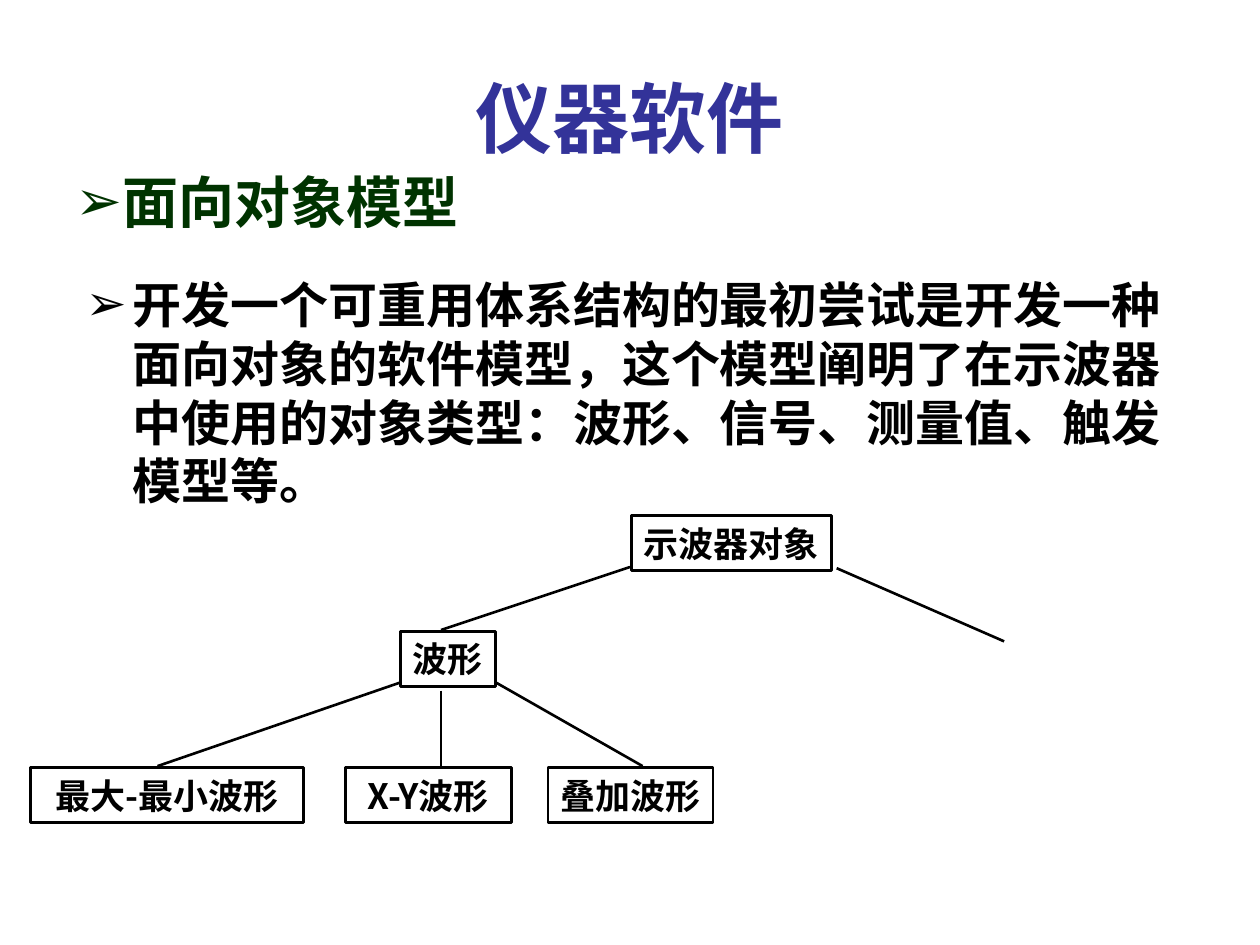
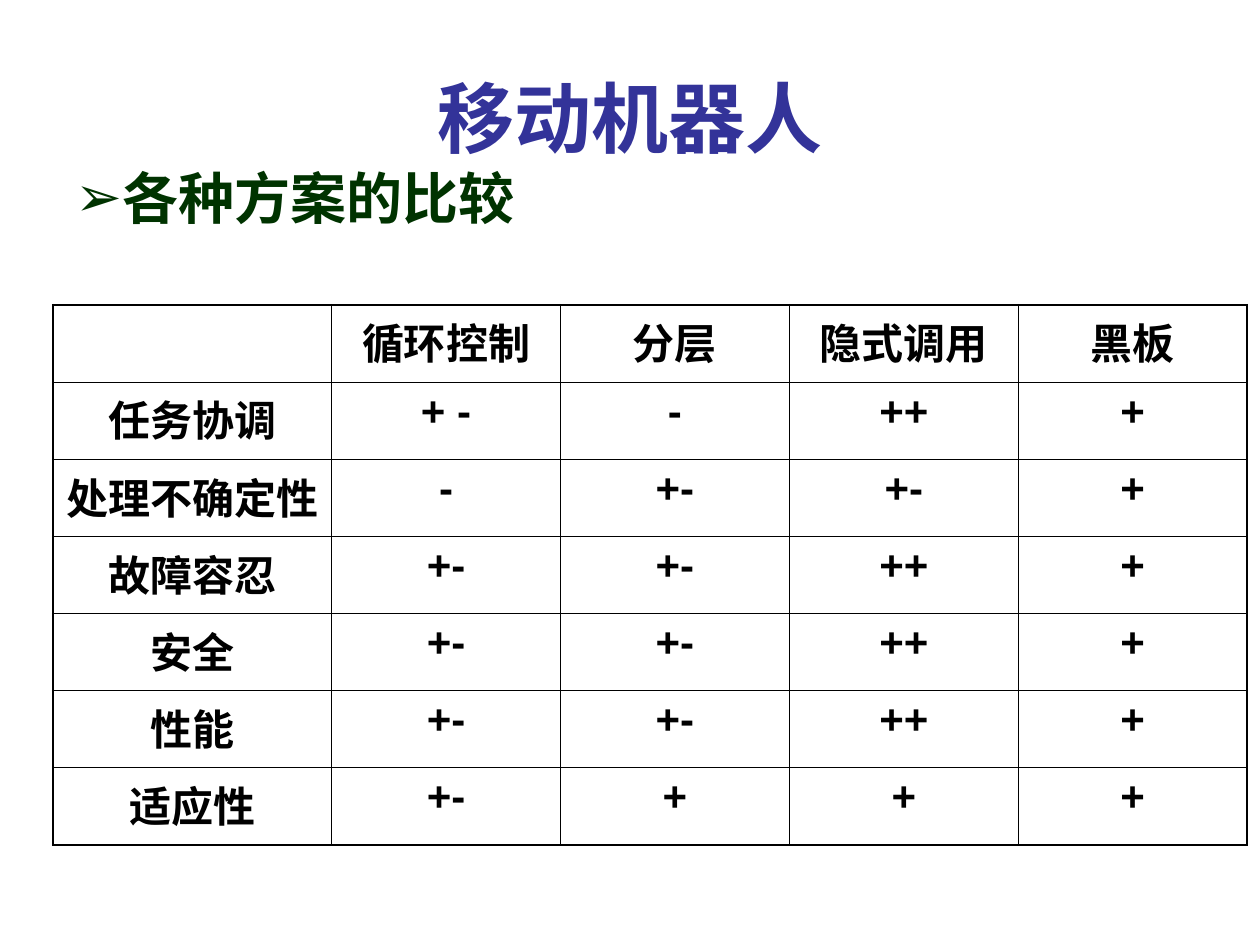
from lxml import etree
from pptx import Presentation
from pptx.dml.color import RGBColor
from pptx.enum.shapes import MSO_CONNECTOR, MSO_SHAPE
from pptx.enum.text import MSO_ANCHOR, PP_ALIGN
from pptx.oxml.ns import qn
from pptx.util import Pt

CENTER, LEFT = PP_ALIGN.CENTER, PP_ALIGN.LEFT
MIDDLE, TOP = MSO_ANCHOR.MIDDLE, MSO_ANCHOR.TOP
RECT, STRAIGHT = MSO_SHAPE.RECTANGLE, MSO_CONNECTOR.STRAIGHT
LATIN, CJK = "Arial", "Noto Sans CJK SC"
BLUE, GREEN, BLACK = "333399", "003300", "000000"
THIN, THICK = 0.45, 1.08

BOXES = [
    ("示波器对象", 360.7, 294.5, 114.5),
    ("波形", 229, 360.7, 54),
    ("最大-最小波形", 17.3, 438.5, 156.2),
    ("X-Y波形", 197.3, 438.5, 95),
    ("叠加波形", 313.2, 438.5, 94.3),
]
BRANCHES = [
    (360, 324, 252, 360),
    (478.1, 324.7, 573.8, 366.5),
    (228.2, 390.2, 90, 437.8),
    (252, 394.6, 252, 437.8),
    (283.7, 390.2, 367.2, 437.8),
]
COMPARISON = [
    ["", "循环控制", "分层", "隐式调用", "黑板"],
    ["任务协调", "+ -", "-", "++", "+"],
    ["处理不确定性", "-", "+-", "+-", "+"],
    ["故障容忍", "+-", "+-", "++", "+"],
    ["安全", "+-", "+-", "++", "+"],
    ["性能", "+-", "+-", "++", "+"],
    ["适应性", "+-", "+", "+", "+"],
]


def color(value):
    return RGBColor.from_string(value)


def apply(obj, **values):
    for name, value in values.items():
        setattr(obj, name, value)


def write(tf, text, size, hue=BLACK, font=LATIN, align=CENTER, bullet=False):
    p = tf.paragraphs[0]
    p.alignment = align
    if bullet:
        add_bullet(p, hue)
    r = p.add_run()
    r.text = text
    apply(r.font, size=Pt(size), bold=True, name=font)
    r.font.color.rgb = color(hue)
    etree.SubElement(r.font._element, qn("a:ea")).set("typeface", CJK)
    return p


def add_bullet(p, hue):
    pPr = p._p.get_or_add_pPr()
    pPr.set("marL", str(Pt(27)))
    pPr.set("indent", str(-Pt(27)))
    clr = etree.SubElement(pPr, qn("a:buClr"))
    etree.SubElement(clr, qn("a:srgbClr")).set("val", hue)
    etree.SubElement(pPr, qn("a:buFont")).set("typeface", LATIN)
    etree.SubElement(pPr, qn("a:buChar")).set("char", "➢")


def add_text(s, box, text, size, hue, inset=0, anchor=TOP, **style):
    tf = s.shapes.add_textbox(*map(Pt, box)).text_frame
    apply(tf, word_wrap=True, vertical_anchor=anchor,
          margin_top=Pt(inset), margin_bottom=0)
    return write(tf, text, size, hue, **style)


def add_slide(prs, title, heading, heading_top):
    s = prs.slides.add_slide(prs.slide_layouts[6])
    add_text(s, (36, 21.6, 648, 90), title, 44, BLUE, anchor=MIDDLE)
    add_text(s, (36, heading_top, 666, 54), heading, 32, GREEN,
             align=LEFT, bullet=True)
    return s


def add_box(s, text, left, top, width):
    sp = s.shapes.add_shape(RECT, Pt(left), Pt(top), Pt(width), Pt(31.7))
    sp.shadow.inherit = False
    sp.fill.background()
    sp.line.color.rgb = color(BLACK)
    sp.line.width = Pt(1.5)
    tf = sp.text_frame
    apply(tf, word_wrap=False, vertical_anchor=MIDDLE,
          margin_top=0, margin_bottom=0)
    write(tf, text, 20, font=CJK)


def add_line(s, ends):
    line = s.shapes.add_connector(STRAIGHT, *map(Pt, ends))
    line.line.color.rgb = color(BLACK)
    line.line.width = Pt(1.5)
    etree.SubElement(line._element.spPr, qn("a:effectLst"))


def set_borders(cell, widths):
    tcPr = cell._tc.get_or_add_tcPr()
    for i, (side, width) in enumerate(zip("LRTB", widths)):
        ln = etree.Element(qn(f"a:ln{side}"), w=str(Pt(width)))
        fill = etree.SubElement(ln, qn("a:solidFill"))
        etree.SubElement(fill, qn("a:srgbClr")).set("val", BLACK)
        tcPr.insert(i, ln)


def add_comparison(s, rows, left, top, widths, row_height):
    last_row, last_col = len(rows) - 1, len(widths) - 1
    table = s.shapes.add_table(
        len(rows), len(widths), Pt(left), Pt(top),
        Pt(sum(widths)), Pt(row_height * len(rows))).table
    apply(table, first_row=False, horz_banding=False)
    for col, width in zip(table.columns, widths):
        col.width = Pt(width)
    for i, row in enumerate(rows):
        table.rows[i].height = Pt(row_height)
        for j, text in enumerate(row):
            cell = table.cell(i, j)
            cell.fill.background()
            outer = (j == 0, j == last_col, i == 0, i == last_row)
            set_borders(cell, [THICK if edge else THIN for edge in outer])
            if text:
                write(cell.text_frame, text, 24)


def main():
    prs = Presentation()
    apply(prs, slide_width=Pt(720), slide_height=Pt(540))

    s = add_slide(prs, "仪器软件", "面向对象模型", 95.8)
    p = add_text(
        s, (41.8, 149.8, 653.8, 342),
        "开发一个可重用体系结构的最初尝试是开发一种面向对象的软件模型，"
        "这个模型阐明了在示波器中使用的对象类型：波形、信号、测量值、触发模型等。",
        28, BLACK, inset=6.7, align=LEFT, bullet=True)
    p.line_spacing = Pt(33.7)
    for box in BOXES:
        add_box(s, *box)
    for ends in BRANCHES:
        add_line(s, ends)

    s = add_slide(prs, "移动机器人", "各种方案的比较", 93.6)
    add_comparison(s, COMPARISON, 30.2, 174.2, [159.3] + [130.8] * 4, 44.1)

    prs.save("out.pptx")


if __name__ == "__main__":
    main()
